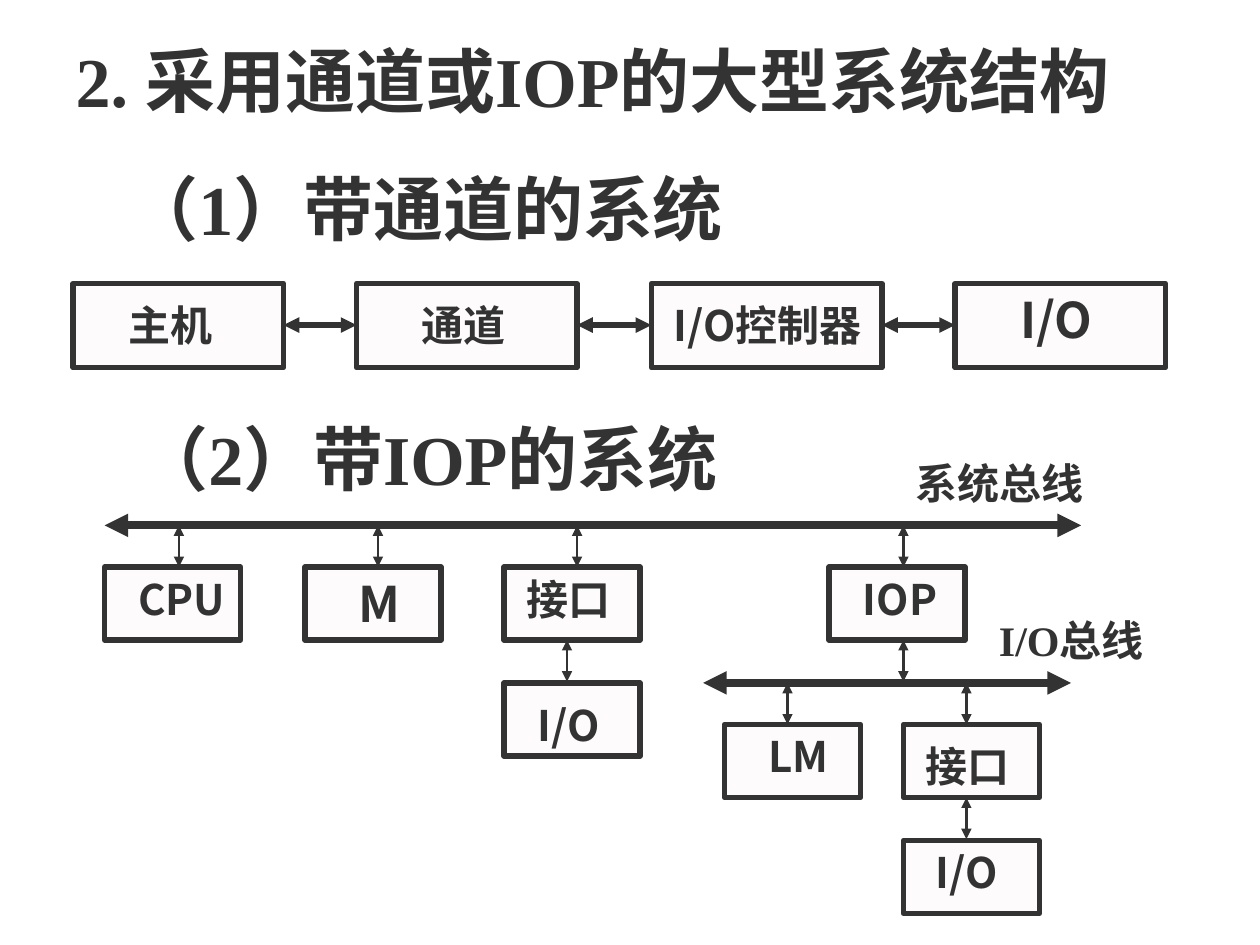
from lxml.etree import SubElement
from pptx import Presentation
from pptx.dml.color import RGBColor
from pptx.enum.shapes import MSO_CONNECTOR as Connector, MSO_SHAPE as Shape
from pptx.enum.text import MSO_ANCHOR as Anchor, MSO_AUTO_SIZE as AutoSize, PP_ALIGN as Align
from pptx.oxml.ns import qn
from pptx.util import Inches, Pt

INK = "333333"
PAPER = "FDFBFB"
SERIF = "Times New Roman"
SANS = "Noto Sans CJK SC"
ROW_TOP, ROW_HEIGHT = 2.25, 0.67
NODE_WIDTH, NODE_HEIGHT = 1.08, 0.58
DROP = 0.33
SYSTEM_BUS, IO_BUS = 4.17, 5.42

# left, width, label, label left, label top, label width, size, font
CHANNEL_ROW = [
    (0.58, 1.67, "主机", 0.92, 2.33, 1.17, 24, SERIF),
    (2.83, 1.75, "通道", 3.25, 2.33, 1.17, 24, SERIF),
    (5.17, 1.83, "I/O控制器", 5.25, 2.33, 1.83, 24, SANS),
    (7.58, 1.67, "I/O", 8, 2.25, 1.17, 28, SANS),
]
# left, top, label, label left, label top, label width, size
IOP_NODES = [
    (0.83, 4.5, "CPU", 1, 4.5, 0.92, 24),
    (2.42, 4.5, "M", 2.75, 4.5, 0.58, 28),
    (4, 4.5, "接口", 4.08, 4.5, 0.92, 24),
    (6.58, 4.5, "IOP", 6.75, 4.5, 0.92, 24),
    (4, 5.42, "I/O", 4.17, 5.5, 0.92, 24),
    (5.75, 5.75, "LM", 6, 5.75, 0.92, 24),
    (7.17, 5.75, "接口", 7.25, 5.83, 0.92, 24),
    (7.17, 6.67, "I/O", 7.33, 6.67, 0.92, 24),
]
DROPS = {
    SYSTEM_BUS: (1.42, 3, 4.58, 7.17),
    5.08: (4.5, 7.17),
    IO_BUS: (6.25, 7.67),
    6.33: (7.67,),
}


def color(value):
    """Turn a hex string into a colour."""
    return RGBColor.from_string(value)


def add_run(paragraph, text, size, font):
    """Add one bold run, with the East Asian font set as well."""
    run = paragraph.add_run()
    run.text = text
    run.font.size = Pt(size)
    run.font.bold = True
    run.font.color.rgb = color(INK)
    run.font.name = font
    SubElement(run.font._element, qn("a:ea")).set("typeface", SANS)


def add_heading(slide):
    """Fill the title placeholder with the heading and its first subheading."""
    title = slide.shapes.title
    title.left, title.top = Inches(0.5), Inches(0.25)
    title.width, title.height = Inches(9.25), Inches(1.78)
    frame = title.text_frame
    frame.word_wrap = True
    frame.auto_size = AutoSize.NONE
    frame.vertical_anchor = Anchor.TOP
    heading, subheading = frame.paragraphs[0], frame.add_paragraph()
    heading.alignment = subheading.alignment = Align.LEFT
    subheading.space_before = Pt(25)
    subheading._p.get_or_add_pPr().set("indent", str(Inches(0.42)))
    add_run(heading, "2. 采用通道或IOP的大型系统结构", 40, SERIF)
    add_run(subheading, "（1）带通道的系统", 40, SERIF)


def add_label(slide, text, left, top, width, size=24, font=SANS):
    """Add a one-line text box."""
    height = 0.1 + size / 60
    box = slide.shapes.add_textbox(Inches(left), Inches(top), Inches(width), Inches(height))
    box.text_frame.word_wrap = True
    box.text_frame.auto_size = AutoSize.SHAPE_TO_FIT_TEXT
    add_run(box.text_frame.paragraphs[0], text, size, font)


def add_box(slide, left, top, width, height):
    """Add an outlined rectangle."""
    box = slide.shapes.add_shape(
        Shape.RECTANGLE, Inches(left), Inches(top), Inches(width), Inches(height))
    box.shadow.inherit = False
    box.fill.solid()
    box.fill.fore_color.rgb = color(PAPER)
    box.line.color.rgb = color(INK)
    box.line.width = Pt(3)


def add_arrow(slide, x1, y1, x2, y2, weight):
    """Add a straight line with an arrowhead at each end."""
    arrow = slide.shapes.add_connector(
        Connector.STRAIGHT, Inches(x1), Inches(y1), Inches(x2), Inches(y2))
    arrow.line.color.rgb = color(INK)
    arrow.line.width = Pt(weight)
    for end in ("a:headEnd", "a:tailEnd"):
        SubElement(arrow.line._get_or_add_ln(), qn(end)).set("type", "triangle")
    SubElement(arrow._element.spPr, qn("a:effectLst"))


def add_channel_system(slide):
    """Draw the row of boxes joined by arrows."""
    for left, width, *_ in CHANNEL_ROW:
        add_box(slide, left, ROW_TOP, width, ROW_HEIGHT)
    for _, _, *label in CHANNEL_ROW:
        add_label(slide, *label)
    middle = ROW_TOP + DROP
    for (left, width, *_), (following, *_) in zip(CHANNEL_ROW, CHANNEL_ROW[1:]):
        add_arrow(slide, left + width, middle, following, middle, 3)


def add_iop_system(slide):
    """Draw the two buses with the nodes hanging from them."""
    add_label(slide, "（2）带IOP的系统", 1, 3.25, 5.92, 40, SERIF)
    add_arrow(slide, 0.83, SYSTEM_BUS, 8.58, SYSTEM_BUS, 4.5)
    add_arrow(slide, 5.58, IO_BUS, 8.5, IO_BUS, 4.5)
    for left, top, *label in IOP_NODES:
        add_box(slide, left, top, NODE_WIDTH, NODE_HEIGHT)
        add_label(slide, *label)
    for top, columns in DROPS.items():
        for x in columns:
            add_arrow(slide, x, top, x, top + DROP, 1.5)
    add_label(slide, "系统总线", 7.17, 3.58, 1.83, font=SERIF)
    add_label(slide, "I/O总线", 7.83, 4.83, 1.83, font=SERIF)


def main():
    """Build and save the slide."""
    presentation = Presentation()
    presentation.slide_width, presentation.slide_height = Inches(10), Inches(7.5)
    slide = presentation.slides.add_slide(presentation.slide_layouts[5])
    add_heading(slide)
    add_channel_system(slide)
    add_iop_system(slide)
    presentation.save("out.pptx")


if __name__ == "__main__":
    main()
